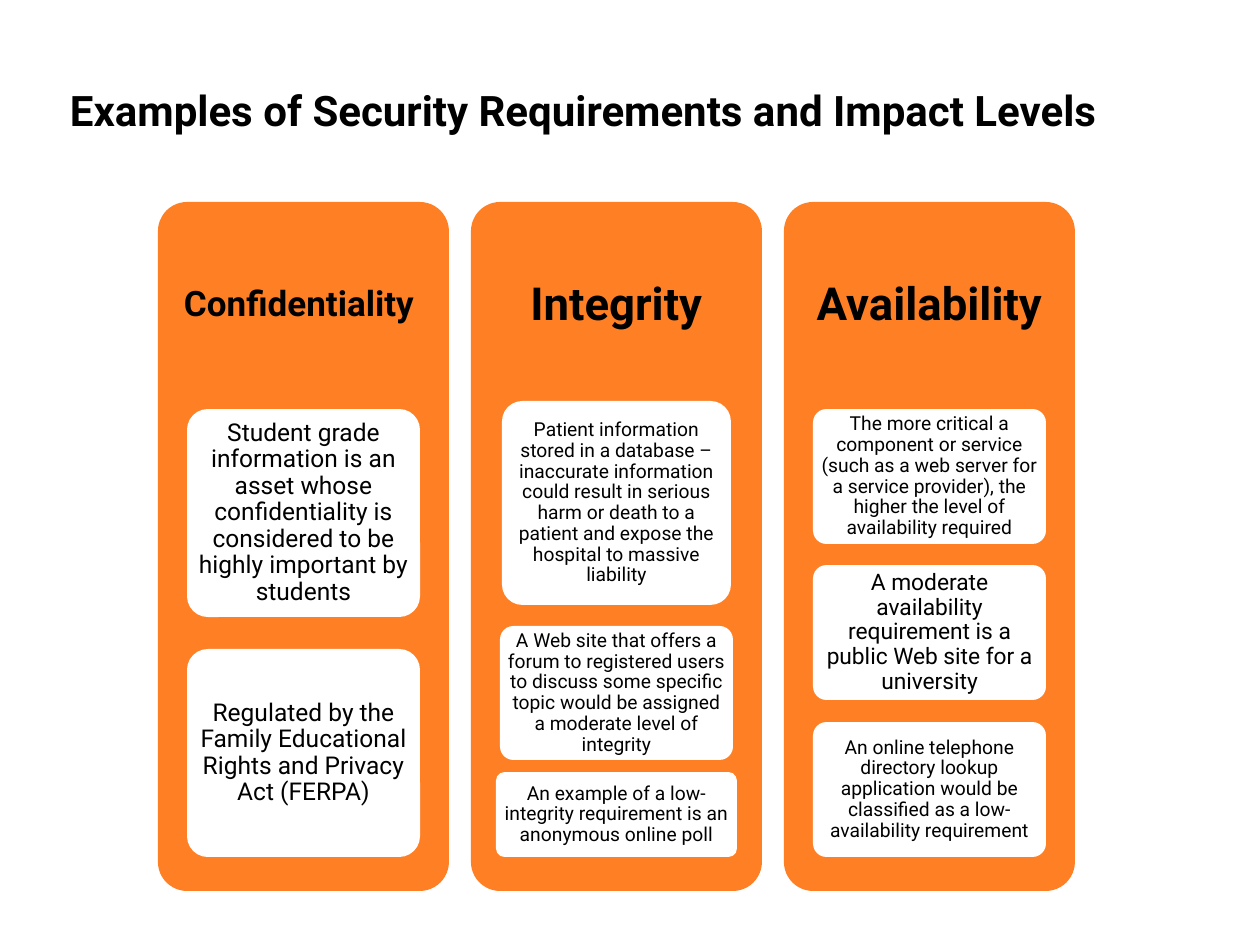
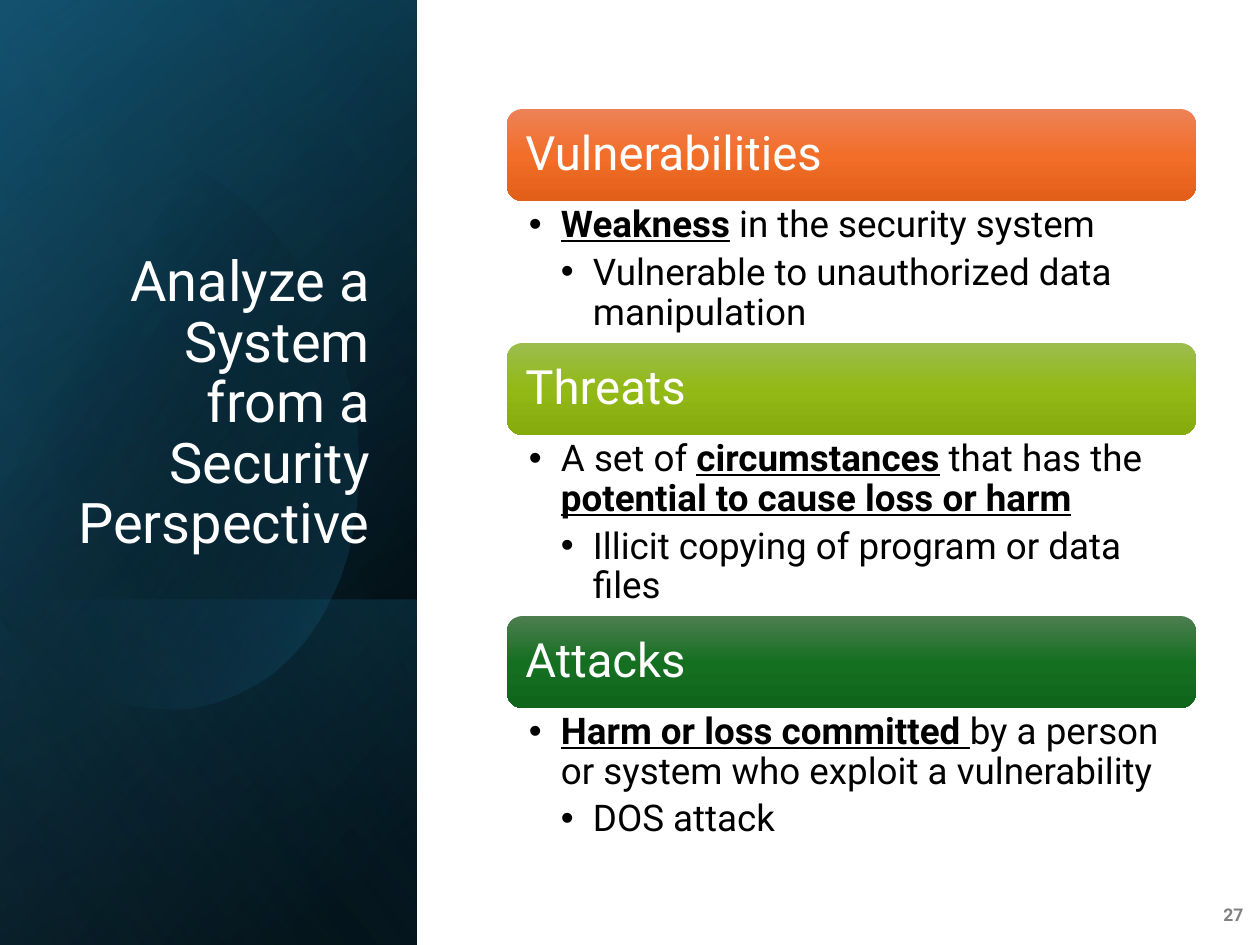
"""Build two slides on security requirements and on vulnerabilities, threats and attacks."""
from dataclasses import dataclass

from lxml import etree
from pptx import Presentation, util as u
from pptx.dml import color
from pptx.enum import shapes, text
from pptx.oxml import ns

PX = 914400 / 126
SLIDE_W, SLIDE_H = 1260, 945
LEFT, CENTER, RIGHT = text.PP_ALIGN.LEFT, text.PP_ALIGN.CENTER, text.PP_ALIGN.RIGHT
TOP, MIDDLE, BOTTOM = text.MSO_ANCHOR.TOP, text.MSO_ANCHOR.MIDDLE, text.MSO_ANCHOR.BOTTOM


@dataclass(frozen=True)
class Theme:
    font: str = "Roboto"
    ink: str = "000000"
    paper: str = "FFFFFF"
    column: str = "FF7F25"
    muted: str = "808080"
    navy: str = "104862"
    teal: str = "156082"
    sky: str = "46B1E1"
    title: int = 24
    side_title: int = 32
    bar: int = 27
    body: int = 21
    page: int = 10


THEME = Theme()

REQUIREMENTS = [
    ("Confidentiality ", 20, 10, [
        (409, 233, 208, 14, "Student grade information is an asset whose confidentiality is "
                            "considered to be highly important by students"),
        (649, 233, 208, 14, "Regulated by the Family Educational Rights and Privacy Act (FERPA)"),
    ]),
    ("Integrity", 26, 14, [
        (401, 229, 204, 11, "Patient information stored in a database – inaccurate information "
                            "could result in serious harm or death to a patient and expose "
                            "the hospital to massive liability"),
        (626, 233, 134, 11, "A Web site that offers a forum to registered users to discuss some "
                            "specific topic would be assigned a moderate level of integrity"),
        (772, 241, 85, 11, "An example of a low-integrity requirement is an anonymous online poll"),
    ]),
    ("Availability", 26, 14, [
        (409, 233, 135, 11, "The more critical a component or service (such as a web server for "
                            "a service provider), the higher the level of availability required"),
        (565, 233, 135, 13, "A moderate availability requirement is a public Web site for a "
                            "university"),
        (722, 233, 135, 11, "An online telephone directory lookup application would be "
                            "classified as a low-availability requirement"),
    ]),
]

CONCEPTS = [
    ("Vulnerabilities", ("ED8257", "F26E29", "E25F1A"), 142,
     ["*Weakness* in the security system",
      "Vulnerable to unauthorized data manipulation"]),
    ("Threats", ("9CBD4E", "92B916", "85AB0D"), 181,
     ["A set of *circumstances* that has the *potential to cause loss or harm*",
      "Illicit copying of program or data files"]),
    ("Attacks", ("4D7E50", "156F21", "0F661B"), 142,
     ["*Harm or loss committed *by a person or system who exploit a vulnerability",
      "DOS attack"]),
]


def px(length):
    return u.Emu(round(length * PX))


def rgb(value):
    return color.RGBColor.from_string(value)


def add_bullet(paragraph, level):
    indent = px(32)
    props = paragraph._p.get_or_add_pPr()
    props.set("marL", str(indent * (level + 1)))
    props.set("indent", str(-indent))
    etree.SubElement(props, ns.qn("a:buFont")).set("typeface", "Arial")
    etree.SubElement(props, ns.qn("a:buChar")).set("char", "•")
    paragraph.level = level + 1


def write(frame, paragraphs, size, ink=THEME.ink, bold=False, align=LEFT, anchor=MIDDLE,
          inset=(13, 6, 13, 6), bullets=False, after=0, spacing=0.9):
    frame.word_wrap = True
    frame.vertical_anchor = anchor
    (frame.margin_left, frame.margin_top,
     frame.margin_right, frame.margin_bottom) = map(px, inset)
    for level, line in enumerate(paragraphs):
        paragraph = frame.add_paragraph() if level else frame.paragraphs[0]
        if bullets:
            add_bullet(paragraph, level)
        paragraph.alignment = align
        paragraph.line_spacing = spacing
        paragraph.space_after = u.Pt(after)
        for part, words in enumerate(line.split("*")):
            if not words:
                continue
            emphasised = part % 2 == 1
            run = paragraph.add_run()
            run.text = words
            run.font.name = THEME.font
            run.font.size = u.Pt(size)
            run.font.color.rgb = rgb(ink)
            run.font.bold = bold or emphasised
            run.font.underline = emphasised


def add_label(slide, box, *paragraphs, **style):
    label = slide.shapes.add_textbox(*map(px, box))
    write(label.text_frame, paragraphs, **style)


def paint_gradient(shape, stops, angle):
    shape.fill.gradient()
    shape.fill.gradient_angle = 360 - angle
    stop_list = shape.element.spPr.find(".//" + ns.qn("a:gsLst"))
    for placeholder in list(stop_list):
        stop_list.remove(placeholder)
    for position, tint, opacity in stops:
        stop = etree.SubElement(stop_list, ns.qn("a:gs"), pos=str(position * 1000))
        tone = etree.SubElement(stop, ns.qn("a:srgbClr"), val=tint)
        if opacity < 100:
            etree.SubElement(tone, ns.qn("a:alpha"), val=str(opacity * 1000))


def finish(shape, fill=None, stops=None, angle=90):
    shape.shadow.inherit = False
    shape.line.fill.background()
    if stops:
        paint_gradient(shape, stops, angle)
    else:
        shape.fill.solid()
        shape.fill.fore_color.rgb = rgb(fill)
    return shape


def add_block(slide, box, rounding=None, **paint):
    kind = shapes.MSO_SHAPE.RECTANGLE if rounding is None else shapes.MSO_SHAPE.ROUNDED_RECTANGLE
    block = slide.shapes.add_shape(kind, *map(px, box))
    if rounding is not None:
        block.adjustments[0] = rounding
    return finish(block, **paint)


def curve(start, *segments, steps=16):
    points = []
    for first, second, end in segments:
        for step in range(1, steps + 1):
            t = step / steps
            weights = ((1 - t) ** 3, 3 * t * (1 - t) ** 2, 3 * t * t * (1 - t), t ** 3)
            points.append(tuple(
                round(sum(w * p[axis] for w, p in zip(weights, (start, first, second, end))))
                for axis in (0, 1)))
        start = end
    return points


def add_glow(slide):
    crown = (0, 176)
    outline = curve(
        crown,
        ((3, 173), (28, 157), (57, 149)),
        ((78, 142), (100, 141), (121, 144)),
        ((215, 154), (307, 242), (344, 365)),
        ((387, 519), (330, 669), (215, 702)),
        ((144, 723), (67, 693), (9, 630)),
    ) + [(0, 620)]
    builder = slide.shapes.build_freeform(*crown, scale=PX)
    builder.add_line_segments(outline, close=True)
    finish(builder.convert_to_shape(), angle=30,
           stops=[(29, THEME.ink, 0), (100, THEME.teal, 43)])


def add_side_panel(slide):
    panel = (0, 0, 417, SLIDE_H)
    foot = (0, 600, 417, SLIDE_H - 600)
    for box, angle, stops in (
        (panel, 220, [(8, THEME.ink, 100), (100, THEME.navy, 100)]),
        (panel, 240, [(0, THEME.ink, 0), (99, THEME.teal, 46)]),
        (foot, 140, [(2, THEME.teal, 29), (100, THEME.ink, 30)]),
    ):
        add_block(slide, box, stops=stops, angle=angle)
    add_glow(slide)
    add_block(slide, panel, angle=150, stops=[(0, THEME.ink, 0), (99, THEME.sky, 11)])


def add_requirement(slide, left, heading, size, padding, examples):
    top, width, height = 202, 291, 689
    add_block(slide, (left, top, width, height), rounding=0.1, fill=THEME.column)
    add_label(slide, (left, top, width, 207), heading, size=size, bold=True,
              align=CENTER, inset=(padding,) * 4)
    for card_top, card_width, card_height, card_size, example in examples:
        card_left = left + (width - card_width) // 2
        card = add_block(slide, (card_left, card_top, card_width, card_height),
                         rounding=0.1, fill=THEME.paper)
        side = 4 if card_size == 11 else 5
        write(card.text_frame, [example], size=card_size, align=CENTER,
              inset=(side, side - 1, side, side - 1))


def add_concept(slide, top, heading, tints, detail_height, details):
    left, width, bar_height = 507, 689, 92
    stops = [(position, tint, 100) for position, tint in zip((0, 50, 100), tints)]
    bar = add_block(slide, (left, top, width, bar_height), rounding=0.1667, stops=stops)
    write(bar.text_frame, [heading], size=THEME.bar, ink=THEME.paper, inset=(14,) * 4)
    add_label(slide, (left, top + bar_height, width, detail_height), *details,
              size=THEME.body, anchor=TOP, inset=(22, 5, 26, 5), bullets=True, after=4.5)
    return top + bar_height + detail_height


def build_requirements(slide):
    add_label(slide, (57, 66, 1086, 93), "Examples of Security Requirements and Impact Levels",
              size=THEME.title, bold=True)
    for index, requirement in enumerate(REQUIREMENTS):
        add_requirement(slide, 158 + 313 * index, *requirement)


def build_analysis(slide):
    add_side_panel(slide)
    add_label(slide, (60, 232, 323, 330), "Analyze a System from a Security Perspective",
              size=THEME.side_title, ink=THEME.paper, align=RIGHT, anchor=BOTTOM)
    add_label(slide, (1210, 890, 47, 50), "27", size=THEME.page, ink=THEME.muted,
              bold=True, align=CENTER, spacing=1.0)
    top = 109
    for concept in CONCEPTS:
        top = add_concept(slide, top, *concept)


def main():
    deck = Presentation()
    deck.slide_width, deck.slide_height = px(SLIDE_W), px(SLIDE_H)
    blank = deck.slide_layouts[6]
    for build in (build_requirements, build_analysis):
        build(deck.slides.add_slide(blank))
    deck.save("out.pptx")


if __name__ == "__main__":
    main()
